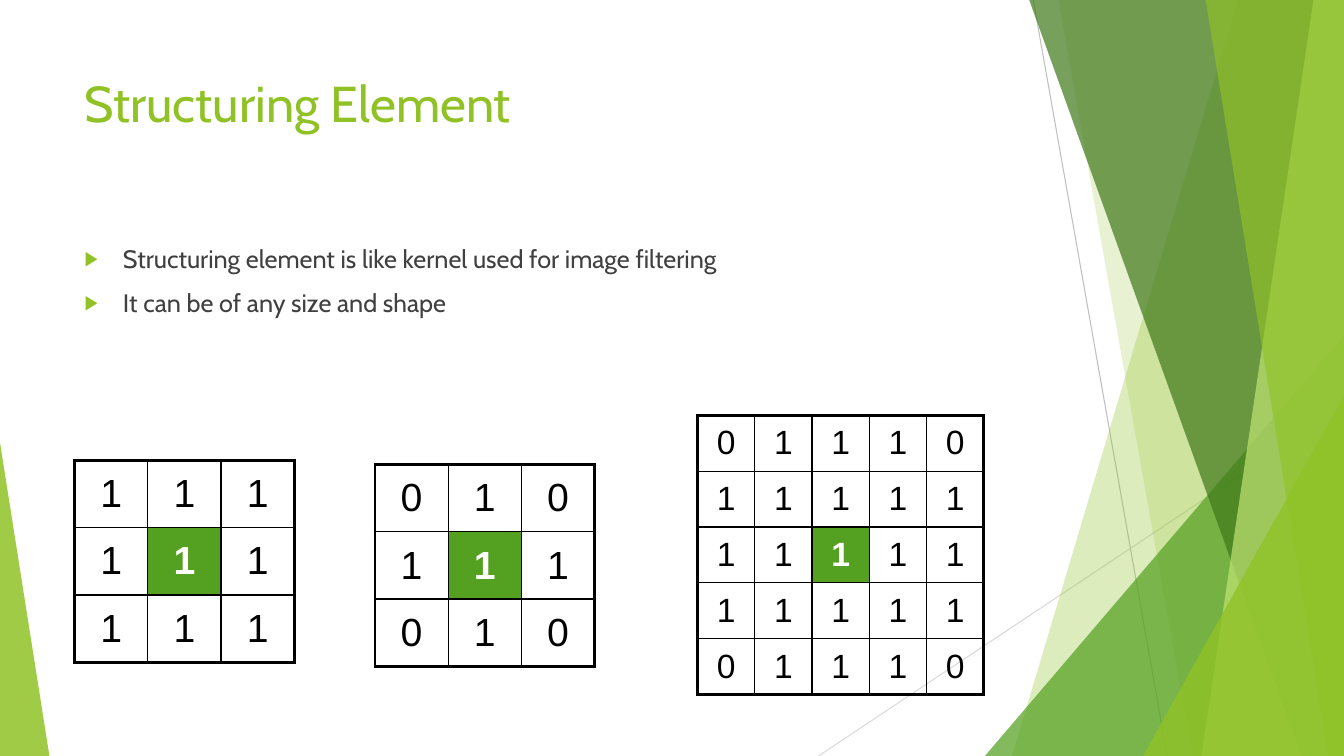
"""Build the Structuring Element slide with its three kernel tables."""
from lxml.etree import SubElement
from pptx import Presentation
from pptx.dml.color import RGBColor
from pptx.enum.shapes import MSO_CONNECTOR, MSO_SHAPE
from pptx.enum.text import MSO_ANCHOR, MSO_AUTO_SIZE, PP_ALIGN
from pptx.oxml.ns import qn
from pptx.util import Inches, Pt

STRAIGHT, TRIANGLE = MSO_CONNECTOR.STRAIGHT, MSO_SHAPE.ISOSCELES_TRIANGLE
TOP, MIDDLE = MSO_ANCHOR.TOP, MSO_ANCHOR.MIDDLE
LEFT, CENTER = PP_ALIGN.LEFT, PP_ALIGN.CENTER
NO_FIT = MSO_AUTO_SIZE.NONE
LIME = RGBColor(0x90, 0xC2, 0x26)
GREEN = RGBColor(0x54, 0xA0, 0x21)
DARK_GREEN = RGBColor(0x3F, 0x78, 0x19)
PALE_LIME = RGBColor(0xC0, 0xE4, 0x74)
TEXT_GRAY = RGBColor(0x40, 0x40, 0x40)
MID_GRAY = RGBColor(0xBF, 0xBF, 0xBF)
LIGHT_GRAY = RGBColor(0xD9, 0xD9, 0xD9)
BLACK = RGBColor(0x00, 0x00, 0x00)
WHITE = RGBColor(0xFF, 0xFF, 0xFF)

prs = Presentation()
prs.slide_width, prs.slide_height = Inches(13.33), Inches(7.5)


def share(*percents):
    """Turn alternating percentages of width and height into lengths."""
    sides = prs.slide_width, prs.slide_height
    return [round(sides[i % 2] * v / 100) for i, v in enumerate(percents)]


def apply(obj, **fmt):
    """Set each format value on an object."""
    for name, value in fmt.items():
        setattr(obj, name, value)


slide = prs.slides.add_slide(prs.slide_layouts[1])
shapes = slide.shapes

RAYS = [((76.88, 0, 86.85, 100), MID_GRAY), ((100, 53.73, 60.9, 100), LIGHT_GRAY)]
for ends, color in RAYS:
    line = shapes.add_connector(STRAIGHT, *share(*ends))
    line.line.color.rgb = color
    line.line.width = Pt(0.75)
    SubElement(line._element.spPr, qn("a:effectLst"))

FACETS = [
    ("band", (92.1, 75.3), LIME, 30),
    ("band", (78.75, 88.73), LIME, 20),
    ("wedge", (73.28, 44.4, 100, 1), GREEN, 72),
    ("band", (76.58, 96.83), DARK_GREEN, 70),
    ("band", (97.73, 89.4), PALE_LIME, 70),
    ("band", (89.7, 98.85), LIME, 65),
    ("wedge", (85.05, 52.4, 100, 1), LIME, 80),
    ("wedge", (0, 58.53, 3.68, 0), LIME, 85),
]
for kind, dims, color, opacity in FACETS:
    if kind == "band":
        upper, lower = dims
        outline = shapes.build_freeform(*share(upper, 0))
        corners = [(100, 0), (100, 100), (lower, 100)]
        outline.add_line_segments([share(*c) for c in corners], close=True)
        sp = outline.convert_to_shape()
    else:
        left, top, right, apex = dims
        sp = shapes.add_shape(TRIANGLE, *share(left, top, right - left, 100 - top))
        sp.adjustments[0] = apex
    sp.shadow.inherit = False
    sp.fill.solid()
    sp.fill.fore_color.rgb = color
    sp.line.fill.background()
    rgb = sp._element.spPr.find(".//" + qn("a:srgbClr"))
    SubElement(rgb, qn("a:alpha"), val=str(opacity * 1000))

TEXTS = [
    (shapes.title, (5.55, 8.93, 70.5, 19.2), ["Structuring Element"], 36, LIME),
    (slide.placeholders[1], (5.55, 31.47, 70.5, 23.47),
     ["Structuring element is like kernel used for image filtering",
      "It can be of any size and shape"], 18, TEXT_GRAY),
]
for sp, box, lines, size, color in TEXTS:
    apply(sp, **dict(zip(("left", "top", "width", "height"), share(*box))))
    tf = sp.text_frame
    tf.text = "\n".join(lines)
    apply(tf, word_wrap=True, auto_size=NO_FIT, vertical_anchor=TOP)
    for p in tf.paragraphs:
        p.alignment = LEFT
        apply(p.runs[0].font, name="Cabin", size=Pt(size))
        p.runs[0].font.color.rgb = color

for p in slide.placeholders[1].text_frame.paragraphs:
    p.space_before = Pt(10)
    pPr = p._p.get_or_add_pPr()
    pPr.set("marL", str(Inches(0.38)))
    pPr.set("indent", str(-Inches(0.38)))
    SubElement(SubElement(pPr, qn("a:buClr")), qn("a:srgbClr"), val=str(LIME))
    SubElement(pPr, qn("a:buSzPct"), val="80000")
    SubElement(pPr, qn("a:buChar"), char="▶")

KERNELS = [
    (["111", "111", "111"], (5.55, 60.93, 16.35, 26.67), 28),
    (["010", "111", "010"], (27.9, 61.47, 16.35, 26.67), 28),
    (["01110", "11111", "11111", "11111", "01110"], (51.9, 54.93, 21.3, 36.93), 24),
]
for kernel, box, size in KERNELS:
    n = len(kernel)
    frame = shapes.add_table(n, n, *share(*box))
    table = frame.table
    apply(table, first_row=False, horz_banding=False)
    for i in range(n):
        table.columns[i].width = frame.width // n
        table.rows[i].height = frame.height // n
    for i, row in enumerate(kernel):
        for j, digit in enumerate(row):
            cell = table.cell(i, j)
            origin = i == j == n // 2
            cell.text = digit
            apply(cell, vertical_anchor=MIDDLE, margin_left=0, margin_right=0)
            tcPr = cell._tc.get_or_add_tcPr()
            edges = {"L": j == 0, "R": j == n - 1, "T": i == 0, "B": i == n - 1}
            for side, outer in edges.items():
                width = Pt(2.25 if outer else 1)
                ln = SubElement(tcPr, qn("a:ln" + side), w=str(width))
                fill = SubElement(ln, qn("a:solidFill"))
                SubElement(fill, qn("a:srgbClr"), val=str(BLACK))
            if origin:
                cell.fill.solid()
                cell.fill.fore_color.rgb = GREEN
            else:
                cell.fill.background()
            p = cell.text_frame.paragraphs[0]
            p.alignment = CENTER
            apply(p.runs[0].font, name="Arial", size=Pt(size), bold=origin)
            p.runs[0].font.color.rgb = WHITE if origin else BLACK

prs.save("out.pptx")
